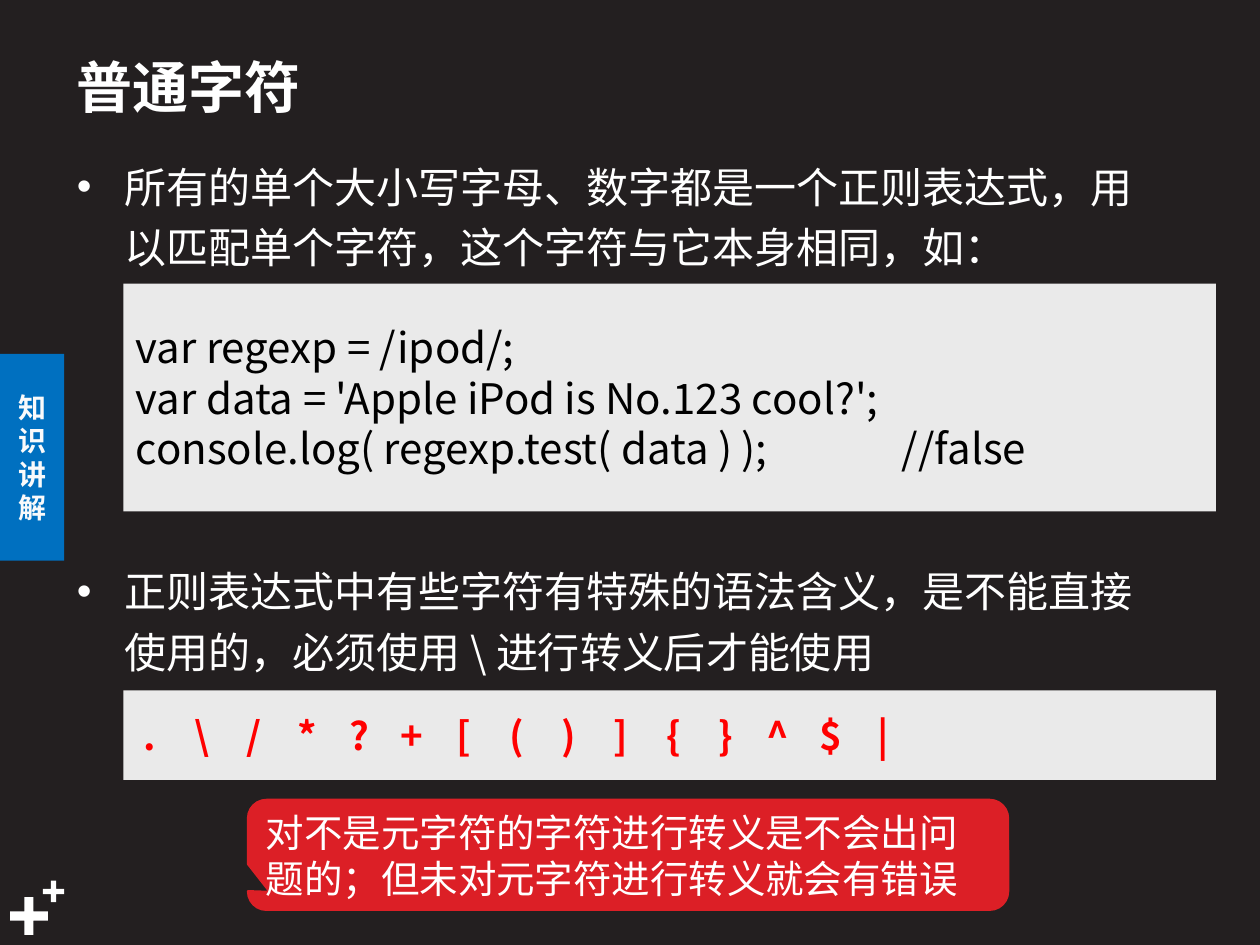
from lxml import etree
from pptx import Presentation
from pptx import util as u
from pptx.dml.color import RGBColor
from pptx.enum import shapes, text
from pptx.oxml import ns

FONT = "Noto Sans CJK SC"
WHITE, GRAY, BLACK, RED = "FFFFFF", "EAEAEA", "000000", "FF0000"
SYMBOLS = r". \ / * ? + [ ( ) ] { } ^ $ |".split()


def color(value):
    return RGBColor.from_string(value)


def add_tabs(para, stops, align):
    """Add tab stops, given in inches, to a paragraph."""
    tabs = etree.SubElement(para._p.get_or_add_pPr(), ns.qn("a:tabLst"))
    for stop in stops:
        etree.SubElement(tabs, ns.qn("a:tab"), pos=str(u.Inches(stop)), algn=align)


class SlideBuilder:
    def __init__(self, slide, background):
        self.slide = slide
        slide.background.fill.solid()
        slide.background.fill.fore_color.rgb = color(background)

    def place(self, shape, left, top, width, height):
        shape.left, shape.top = u.Inches(left), u.Inches(top)
        shape.width, shape.height = u.Inches(width), u.Inches(height)

    def style(self, para, size, ink, bold=False):
        for span in para.runs:
            font = span.font
            font.name, font.size, font.bold = FONT, u.Pt(size), bold
            font.color.rgb = color(ink)
            etree.SubElement(span._r.get_or_add_rPr(), ns.qn("a:ea"), typeface=FONT)

    def title(self, words, *area):
        box = self.slide.shapes.title
        self.place(box, *area)
        box.text_frame.text = words
        box.text_frame.vertical_anchor = text.MSO_ANCHOR.MIDDLE
        para = box.text_frame.paragraphs[0]
        para.alignment = text.PP_ALIGN.LEFT
        self.style(para, 32, WHITE, True)

    def bullets(self, items, gap, *area):
        """Fill the body with bullets that stand gap points apart."""
        box = self.slide.placeholders[1]
        self.place(box, *area)
        frame = box.text_frame
        frame.text = "\n".join(items)
        frame.auto_size = text.MSO_AUTO_SIZE.NONE
        for index, para in enumerate(frame.paragraphs):
            para.line_spacing = 1.2
            para.space_before = u.Pt(gap if index else 0)
            props = para._p.get_or_add_pPr()
            props.set("marL", str(u.Inches(0.38)))
            props.set("indent", str(u.Inches(-0.38)))
            etree.SubElement(props, ns.qn("a:buFont"), typeface="Arial")
            etree.SubElement(props, ns.qn("a:buChar"), char="•")
            self.style(para, 24, WHITE)

    def shape(self, kind, fill, *area, parent=None, adjust=()):
        shape = (parent or self.slide).shapes.add_shape(kind, *map(u.Inches, area))
        shape.shadow.inherit = False
        shape.fill.solid()
        shape.fill.fore_color.rgb = color(fill)
        shape.line.fill.background()
        for index, value in enumerate(adjust):
            shape.adjustments[index] = value
        return shape

    def label(self, shape, words, size, ink, bold=False, align=text.PP_ALIGN.LEFT,
              tabs=(), tab_align="l"):
        frame = shape.text_frame
        frame.text = words
        frame.word_wrap = True
        frame.vertical_anchor = text.MSO_ANCHOR.MIDDLE
        for para in frame.paragraphs:
            para.alignment = align
            if tabs:
                add_tabs(para, tabs, tab_align)
            self.style(para, size, ink, bold)


def main():
    deck = Presentation()
    deck.slide_width, deck.slide_height = u.Inches(10), u.Inches(7.5)
    page = SlideBuilder(deck.slides.add_slide(deck.slide_layouts[1]), "231F20")
    kinds = shapes.MSO_SHAPE

    page.title("普通字符", 0.51, 0.29, 7.4, 0.78)
    page.bullets([
        "所有的单个大小写字母、数字都是一个正则表达式，用以匹配单个字符，这个字符与它本身相同，如：",
        "正则表达式中有些字符有特殊的语法含义，是不能直接使用的，必须使用 \\ 进行转义后才能使用",
    ], 162, 0.51, 1.15, 8.82, 4.38)

    pluses = page.slide.shapes.add_group_shape()
    for left, top, side in [(0.08, 7.12, 0.3), (0.34, 6.99, 0.17)]:
        page.shape(kinds.CROSS, WHITE, left, top, side, side, parent=pluses, adjust=[0.378])

    section = page.shape(kinds.RECTANGLE, "0070C0", 0, 2.81, 0.51, 1.64)
    page.label(section, "知识讲解", 16, "F9FAFB", True, text.PP_ALIGN.CENTER)

    symbols = page.shape(kinds.RECTANGLE, GRAY, 0.98, 5.48, 8.67, 0.71)
    step = 5.82 / (len(SYMBOLS) - 1)
    page.label(symbols, "".join("\t" + symbol for symbol in SYMBOLS), 22, RED, True,
               tabs=[0.11 + step * index for index in range(len(SYMBOLS))], tab_align="ctr")

    callout = page.shape(kinds.ROUNDED_RECTANGULAR_CALLOUT, "DC1F26", 1.97, 6.35, 6.03, 0.87,
                         adjust=[-0.471, 0.34, 0.167])
    callout.line.color.rgb = color("DC1F26")
    callout.line.width = u.Pt(1.5)
    page.label(callout, "对不是元字符的字符进行转义是不会出问题的；但未对元字符进行转义就会有错误", 22, WHITE)

    code = page.shape(kinds.RECTANGLE, GRAY, 0.98, 2.25, 8.67, 1.81)
    page.label(code, "var regexp = /ipod/;\n"
                     "var data = 'Apple iPod is No.123 cool?';\n"
                     "console.log( regexp.test( data ) );\t\t//false",
               24, BLACK, tabs=[5.5, 6.08])

    deck.save("out.pptx")


if __name__ == "__main__":
    main()
